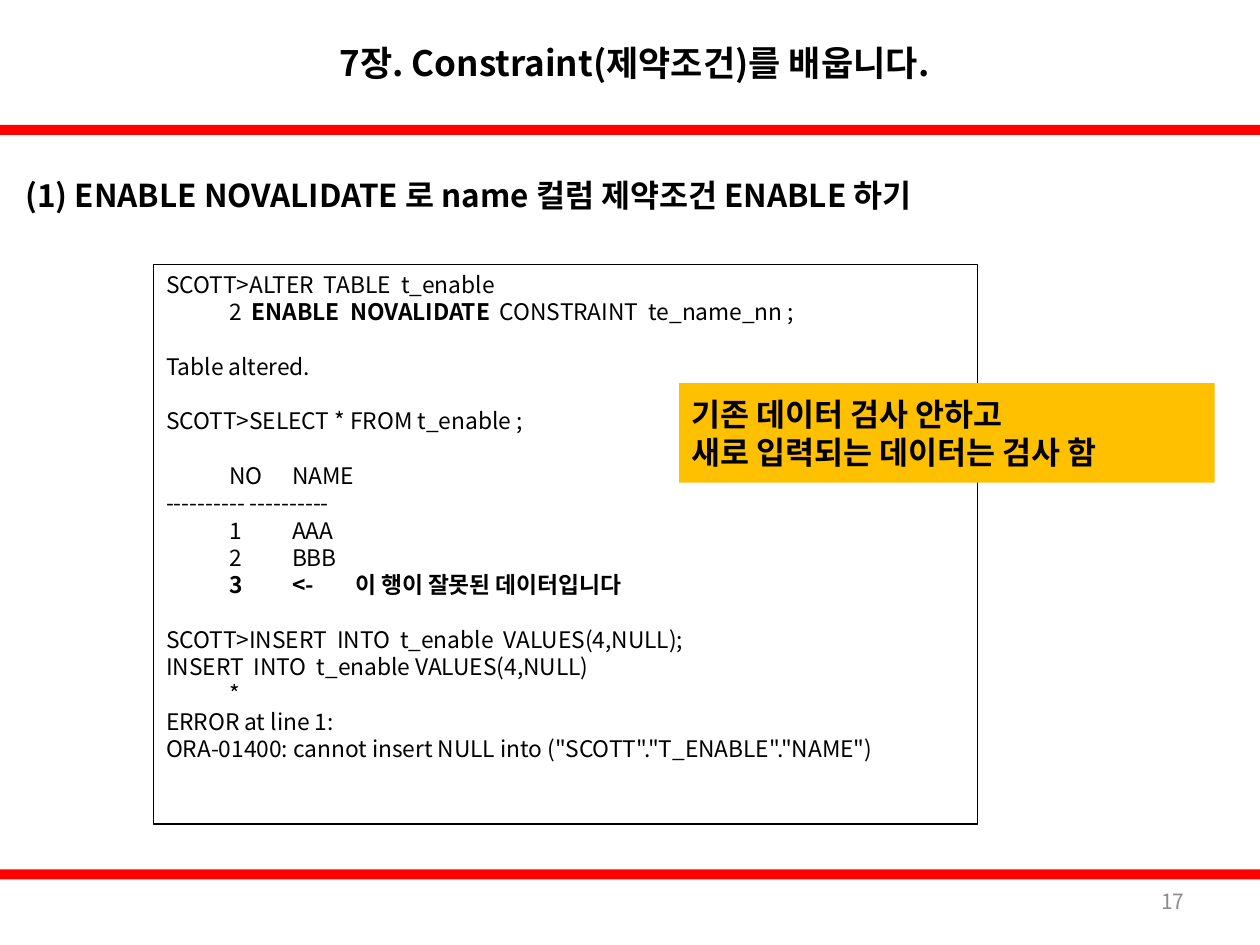
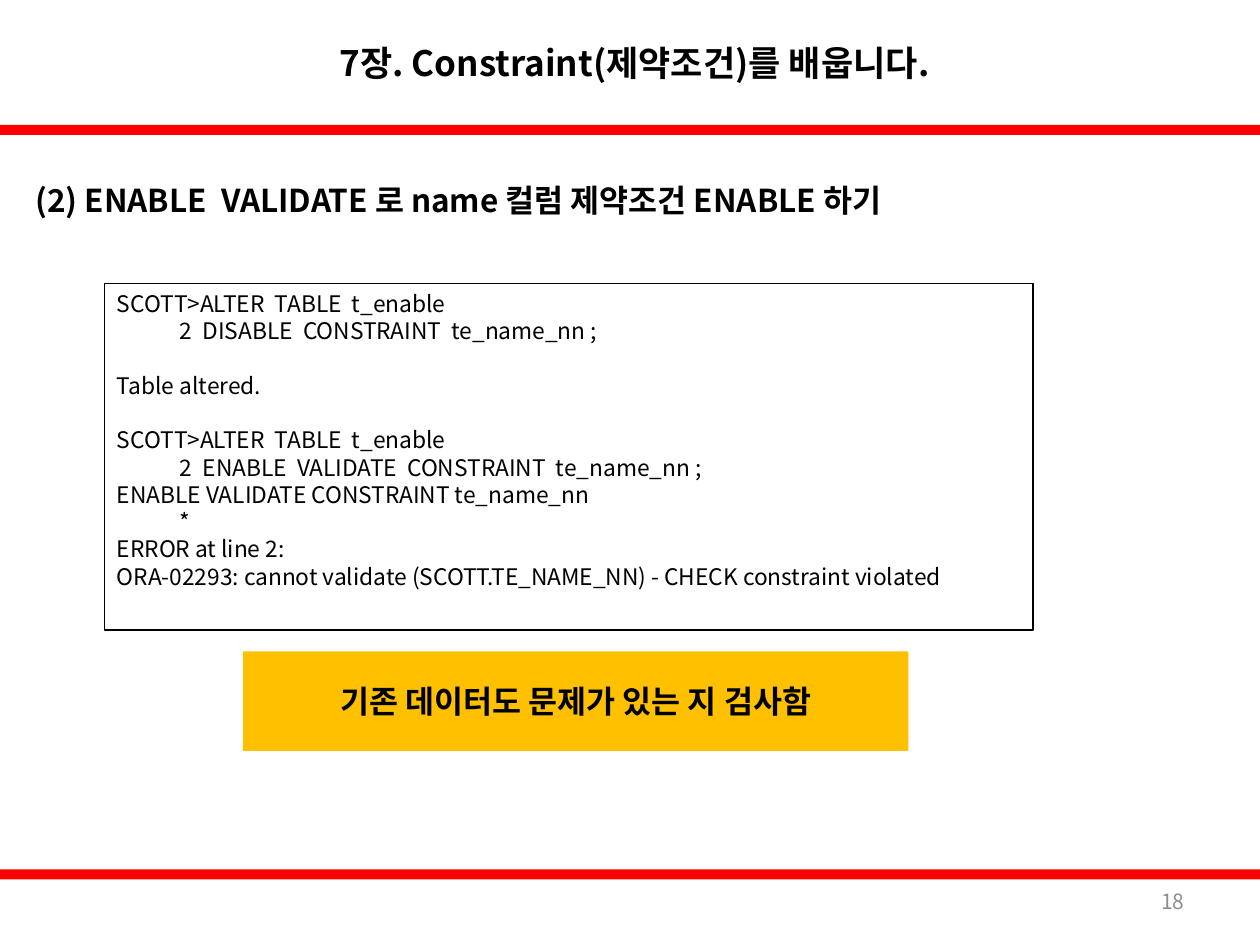
from lxml.etree import SubElement
from pptx import Presentation
from pptx.dml.color import RGBColor
from pptx.enum.shapes import MSO_SHAPE
from pptx.enum.text import MSO_ANCHOR, MSO_AUTO_SIZE, PP_ALIGN
from pptx.oxml.ns import qn
from pptx.util import Inches, Pt

RED = RGBColor(0xFF, 0x00, 0x00)
GOLD = RGBColor(0xFF, 0xC0, 0x00)
WHITE = RGBColor(0xFF, 0xFF, 0xFF)
BLACK = RGBColor(0x00, 0x00, 0x00)
GREY = RGBColor(0x8C, 0x8C, 0x8C)

FONT = "Noto Sans CJK KR"
WIDE, HIGH = Inches(10), Inches(7.5)
COLS, ROWS = 100, 75
LEAD = 1.2
TITLE = "7장. Constraint(제약조건)를 배웁니다."
FIRST = 17

# Each code line: text (bold between bars), tab stops in inches, blank lines before
ENABLE = [
    ("SCOTT>ALTER  TABLE  t_enable", (), 0),
    ("\t2  |ENABLE  NOVALIDATE|  CONSTRAINT  te_name_nn ;", (0.08,), 0),
    ("Table altered.", (), 1),
    ("SCOTT>SELECT * FROM t_enable ;", (), 1),
    ("\tNO\tNAME", (0.17, 0.55), 1),
    ("---------- ----------", (), 0),
    ("\t1\tAAA", (0.29, 0.46), 0),
    ("\t2\tBBB", (0.29, 0.46), 0),
    ("\t|3\t<-\t이 행이 잘못된 데이터입니다|", (0.29, 0.83, 1.14), 0),
    ("SCOTT>INSERT  INTO  t_enable  VALUES(4,NULL);", (), 1),
    ("INSERT  INTO  t_enable VALUES(4,NULL)", (), 0),
    ("\t*", (1.33,), 0),
    ("ERROR at line 1:", (), 0),
    ('ORA-01400: cannot insert NULL into ("SCOTT"."T_ENABLE"."NAME")', (), 0),
]
CHECK = [
    ("SCOTT>ALTER  TABLE  t_enable", (), 0),
    ("\t2  DISABLE  CONSTRAINT  te_name_nn ;", (0.08,), 0),
    ("Table altered.", (), 1),
    ("SCOTT>ALTER  TABLE  t_enable", (), 1),
    ("\t2  ENABLE  VALIDATE  CONSTRAINT  te_name_nn ;", (0.08,), 0),
    ("ENABLE VALIDATE CONSTRAINT te_name_nn", (), 0),
    ("\t*", (1.1,), 0),
    ("ERROR at line 2:", (), 0),
    ("ORA-02293: cannot validate (SCOTT.TE_NAME_NN) - CHECK constraint violated",
     (), 0),
]


class Deck:
    """Holds the style and the slide being built."""

    def __init__(self):
        self.prs = Presentation()
        self.prs.slide_width, self.prs.slide_height = WIDE, HIGH
        self.slide = None

    def cell(self, at):
        """Turn grid columns and rows into lengths."""
        units = (WIDE / COLS, HIGH / ROWS) * 2
        return [round(n * unit) for n, unit in zip(at, units)]

    def place(self, shape, at):
        shape.left, shape.top, shape.width, shape.height = self.cell(at)
        return shape

    def label(self, shape, lines, size, bold=False, color=BLACK,
              align=PP_ALIGN.LEFT, anchor=MSO_ANCHOR.MIDDLE, inset=0.1):
        frame = shape.text_frame
        look = {"word_wrap": True, "auto_size": MSO_AUTO_SIZE.NONE,
                "vertical_anchor": anchor, "margin_left": Inches(inset),
                "margin_right": Inches(0.1), "margin_top": Inches(0.05),
                "margin_bottom": Inches(0.05)}
        for key, value in look.items():
            setattr(frame, key, value)
        for i, (text, stops, gap) in enumerate(lines):
            para = frame.add_paragraph() if i else frame.paragraphs[0]
            step = size * LEAD
            form = {"alignment": align, "line_spacing": Pt(step),
                    "space_before": Pt(gap * step), "space_after": Pt(0)}
            for key, value in form.items():
                setattr(para, key, value)
            self.tabs(para, stops)
            for part, piece in enumerate(text.split("|")):
                if piece:
                    self.piece(para, piece, size, bold or part % 2 == 1, color)

    def tabs(self, para, stops):
        """Clear bullet and indent, then set the tab stops."""
        props = para._p.get_or_add_pPr()
        props.set("marL", "0")
        props.set("indent", "0")
        SubElement(props, qn("a:buNone"))
        if stops:
            group = SubElement(props, qn("a:tabLst"))
            for stop in stops:
                SubElement(group, qn("a:tab"), pos=str(Inches(stop)), algn="l")

    def piece(self, para, text, size, bold, color):
        run = para.add_run()
        run.text = text
        for key, value in {"name": FONT, "size": Pt(size), "bold": bold}.items():
            setattr(run.font, key, value)
        run.font.color.rgb = color
        SubElement(run._r.get_or_add_rPr(), qn("a:ea"), typeface=FONT)

    def box(self, at, fill, line=None):
        shape = self.slide.shapes.add_shape(MSO_SHAPE.RECTANGLE, *self.cell(at))
        shape.shadow.inherit = False
        shape.fill.solid()
        shape.fill.fore_color.rgb = fill
        if line is None:
            shape.line.fill.background()
        else:
            shape.line.color.rgb = line
            shape.line.width = Pt(0.75)
        return shape

    def start(self, page, head, at):
        """Add a slide with its bands, title, page number and heading."""
        self.slide = self.prs.slides.add_slide(self.prs.slide_layouts[1])
        shapes = self.slide.shapes
        for top in (9.9, 69):
            self.box((0, top, COLS, 0.8), RED)
        title = self.place(shapes.title, (16.9, 0, 66.9, 9.9))
        self.label(title, [(TITLE, (), 0)], 20, True, align=PP_ALIGN.CENTER)
        body = self.place(self.slide.placeholders[1], at)
        self.label(body, [(head, (), 0)], 18, True, inset=0.16)
        foot = shapes.add_textbox(*self.cell((71.7, 69.5, 23.3, 4)))
        self.label(foot, [(str(page), (), 0)], 12, color=GREY,
                   align=PP_ALIGN.RIGHT)

    def code(self, at, lines):
        self.label(self.box(at, WHITE, BLACK), lines, 13,
                   align=PP_ALIGN.JUSTIFY, anchor=MSO_ANCHOR.TOP)

    def note(self, at, texts, align=PP_ALIGN.LEFT):
        lines = [(text, (), 0) for text in texts]
        self.label(self.box(at, GOLD), lines, 18, True, align=align)


def main():
    deck = Deck()

    deck.start(FIRST, "(1) ENABLE NOVALIDATE 로 name 컬럼 제약조건 ENABLE 하기",
               (0.4, 12.3, 94.5, 6.3))
    deck.code((12.2, 21, 65.4, 44.4), ENABLE)
    deck.note((53.9, 30.4, 42.5, 7.9),
              ["기존 데이터 검사 안하고", "새로 입력되는 데이터는 검사 함"])

    deck.start(FIRST + 1, "(2) ENABLE  VALIDATE 로 name 컬럼 제약조건 ENABLE 하기",
               (1.2, 12.3, 95.3, 7.1))
    deck.code((8.3, 22.5, 73.7, 27.5), CHECK)
    deck.note((19.3, 51.7, 52.8, 7.9),
              ["기존 데이터도 문제가 있는 지 검사함"], PP_ALIGN.CENTER)

    deck.prs.save("out.pptx")


if __name__ == "__main__":
    main()
